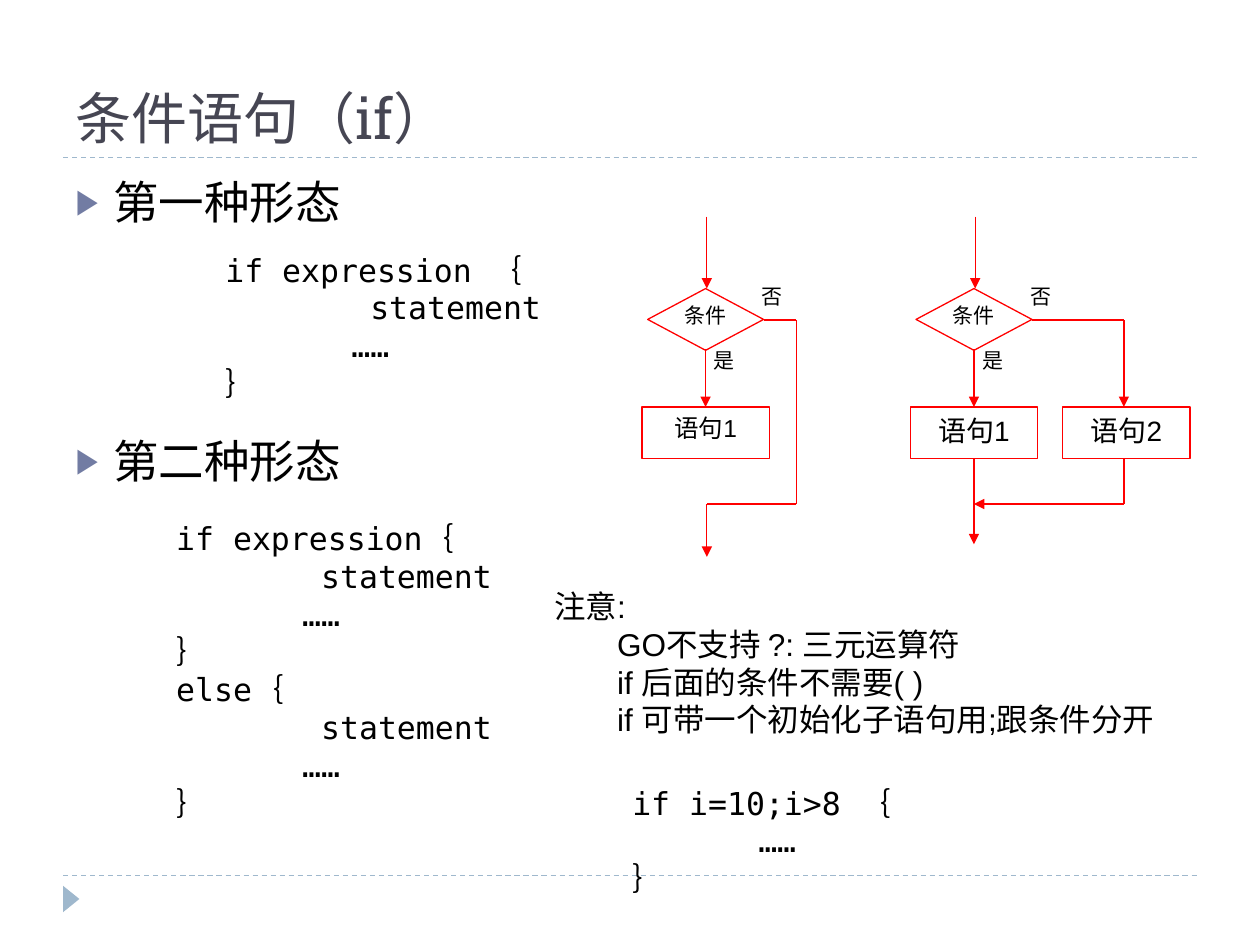
from lxml.etree import SubElement
from pptx import Presentation
from pptx.dml.color import RGBColor
from pptx.enum.dml import MSO_LINE
from pptx.enum.shapes import MSO_CONNECTOR, MSO_SHAPE
from pptx.enum.text import MSO_ANCHOR, MSO_AUTO_SIZE, PP_ALIGN
from pptx.oxml.ns import qn
from pptx.util import Emu, Inches, Pt

# Content
TITLE = "条件语句（if）"
HEADINGS = ["第一种形态", "第二种形态"]
BLOCK = ["\t statement", "\t……", "｝"]
CODE = [  # left, top, width, height, lines
    (1.69, 1.94, 3.23, 1.3, ["if expression ｛", *BLOCK]),
    (1.3, 4.07, 3.7, 2.8, ["if expression｛", *BLOCK, "else｛", *BLOCK]),
    (4.92, 6.17, 3.23, 1.0, ["if i=10;i>8 ｛", *BLOCK[1:]]),
]
NOTE = "注意:"
NOTE_ITEMS = [
    "GO不支持 ?: 三元运算符",
    "if 后面的条件不需要( )",
    "if 可带一个初始化子语句用;跟条件分开",
]
CONDITION, YES, NO = "条件", "是", "否"

# Style
COLORS = {"title": "464653", "text": "000000", "bullet": "727CA3",
          "rule": "9FB8CD", "flow": "FF0000"}
SANS, MONO = "Arial", "DejaVu Sans Mono"

# Flowchart columns and rows, in inches
AXIS = {"single": 5.6, "double": 7.73}
BYPASS, ELSE_AXIS = 6.32, 8.92
ROWS = {"entry": 1.72, "diamond": 2.29, "branch": 2.54, "yes": 2.77,
        "box": 3.23, "join": 4.0}
DIAMOND_W, DIAMOND_H = 0.92, 0.49
BOX_W, BOX_H = 1.01, 0.41
LABEL_W, LABEL_H = 0.24, 0.25

prs = Presentation()
prs.slide_width, prs.slide_height = Inches(10), Inches(7.5)
slide = prs.slides.add_slide(prs.slide_layouts[1])
shapes = slide.shapes


def color(name):
    return RGBColor.from_string(COLORS[name])


def place(*lengths):
    return [Inches(length) for length in lengths]


def move(holder, *lengths):
    holder.left, holder.top, holder.width, holder.height = place(*lengths)


def write(frame, lines, size=18, font=SANS, ink="text", align=PP_ALIGN.LEFT,
          spacing=None, insets=(0.1, 0.05), anchor=MSO_ANCHOR.TOP):
    """Fill a text frame with one paragraph per line and return the paragraphs."""
    frame.word_wrap = True
    frame.vertical_anchor = anchor
    frame.margin_left = frame.margin_right = Inches(insets[0])
    frame.margin_top = frame.margin_bottom = Inches(insets[1])
    frame.text = "\n".join(lines)
    for paragraph in frame.paragraphs:
        paragraph.alignment = align
        paragraph.space_before = Pt(0)
        if spacing:
            paragraph.line_spacing = spacing
        for run in paragraph.runs:
            run.font.size, run.font.name = Pt(size), font
            run.font.color.rgb = color(ink)
    return frame.paragraphs


def indent(paragraph, margin, first=0):
    properties = paragraph._p.get_or_add_pPr()
    properties.set("marL", str(Inches(margin)))
    properties.set("indent", str(Inches(first)))
    return properties


def add_bullet(paragraph):
    properties = indent(paragraph, 0.3, -0.3)
    tint = SubElement(properties, qn("a:buClr"))
    SubElement(tint, qn("a:srgbClr"), val=COLORS["bullet"])
    SubElement(properties, qn("a:buSzPct"), val="76000")
    SubElement(properties, qn("a:buChar"), char="▶")


def add_tab(paragraph):
    tabs = SubElement(paragraph._p.get_or_add_pPr(), qn("a:tabLst"))
    SubElement(tabs, qn("a:tab"), pos=str(Inches(1)), algn="l")


def text_box(area, lines, grow=True, **style):
    frame = shapes.add_textbox(*place(*area)).text_frame
    paragraphs = write(frame, lines, **style)
    if grow:
        frame.auto_size = MSO_AUTO_SIZE.SHAPE_TO_FIT_TEXT
    return paragraphs


def line(x1, y1, x2, y2, ink="flow", arrow=False, dashed=False):
    connector = shapes.add_connector(MSO_CONNECTOR.STRAIGHT, *place(x1, y1, x2, y2))
    connector.line.color.rgb = color(ink)
    connector.line.width = Pt(0.75)
    if dashed:
        connector.line.dash_style = MSO_LINE.DASH
    if arrow:
        SubElement(connector.line._get_or_add_ln(), qn("a:tailEnd"), type="triangle")
    SubElement(connector._element.spPr, qn("a:effectLst"))


def node(kind, area, text, **style):
    shape = shapes.add_shape(kind, *place(*area))
    shape.shadow.inherit = False
    shape.fill.background()
    shape.line.color.rgb = color("flow")
    shape.line.width = Pt(0.75)
    write(shape.text_frame, [text], align=PP_ALIGN.CENTER, **style)


def statement(axis, text, size):
    node(MSO_SHAPE.RECTANGLE, (axis - BOX_W / 2, ROWS["box"], BOX_W, BOX_H),
         text, size=size, insets=(0.09, 0.05))


def decision(axis, size):
    """Entry arrow, condition, yes branch and first statement on one axis."""
    small = dict(size=12, spacing=0.96, insets=(0, 0))
    right = axis + DIAMOND_W / 2
    statement(axis, "语句1", size)
    node(MSO_SHAPE.DIAMOND,
         (axis - DIAMOND_W / 2, ROWS["diamond"], DIAMOND_W, DIAMOND_H),
         CONDITION, **small)
    line(axis + 0.01, ROWS["entry"], axis + 0.01, ROWS["diamond"], arrow=True)
    line(axis, ROWS["yes"], axis, ROWS["box"], arrow=True)
    for label, left, top in [(YES, axis + 0.03, ROWS["yes"]),
                             (NO, right - 0.05, ROWS["diamond"] - 0.03)]:
        text_box((left, top, LABEL_W, LABEL_H), [label], grow=False,
                 align=PP_ALIGN.CENTER, **small)
    return right


# Rules and corner mark
for y in (1.25, 6.95):
    line(0.5, y, 9.5, y, ink="rule", dashed=True)
mark = shapes.add_shape(MSO_SHAPE.ISOSCELES_TRIANGLE, *place(0.46, 7.07, 0.21, 0.13))
mark.rotation = 90
mark.shadow.inherit = False
mark.fill.solid()
mark.fill.fore_color.rgb = color("rule")
mark.line.fill.background()

# Title and headings
move(shapes.title, 0.5, 0.17, 9, 1.08)
write(shapes.title.text_frame, [TITLE], size=32, font="Roboto Slab", ink="title",
      anchor=MSO_ANCHOR.BOTTOM)
body = slide.placeholders[1]
move(body, 0.5, 1.33, 9, 5.4)
headings = write(body.text_frame, HEADINGS, size=26, font="Calibri")
headings[1].space_before = Pt(117)
for heading in headings:
    add_bullet(heading)

# Flowchart without else
single = AXIS["single"]
tip = decision(single, 14)
line(tip, ROWS["branch"], BYPASS, ROWS["branch"])
line(BYPASS, ROWS["branch"], BYPASS, ROWS["join"])
line(BYPASS, ROWS["join"], single + 0.01, ROWS["join"])
line(single + 0.01, ROWS["join"], single + 0.01, 4.42, arrow=True)

# Flowchart with else
double = AXIS["double"]
tip = decision(double, 16)
statement(ELSE_AXIS + 0.02, "语句2", 16)
line(tip, ROWS["branch"], ELSE_AXIS, ROWS["branch"])
line(ELSE_AXIS, ROWS["branch"], ELSE_AXIS, ROWS["box"], arrow=True)
line(ELSE_AXIS, ROWS["box"] + BOX_H, ELSE_AXIS, ROWS["join"])
line(ELSE_AXIS, ROWS["join"], double, ROWS["join"], arrow=True)
line(double, ROWS["box"] + BOX_H, double, 4.32, arrow=True)

# Code samples
for *area, lines in CODE:
    for code_line in text_box(area, lines, font=MONO):
        add_tab(code_line)

# Notes
for item in text_box((4.3, 4.61, 5.31, 1.6), [NOTE, *NOTE_ITEMS])[1:]:
    item.level = 1
    indent(item, 0.5)

prs.save("out.pptx")
